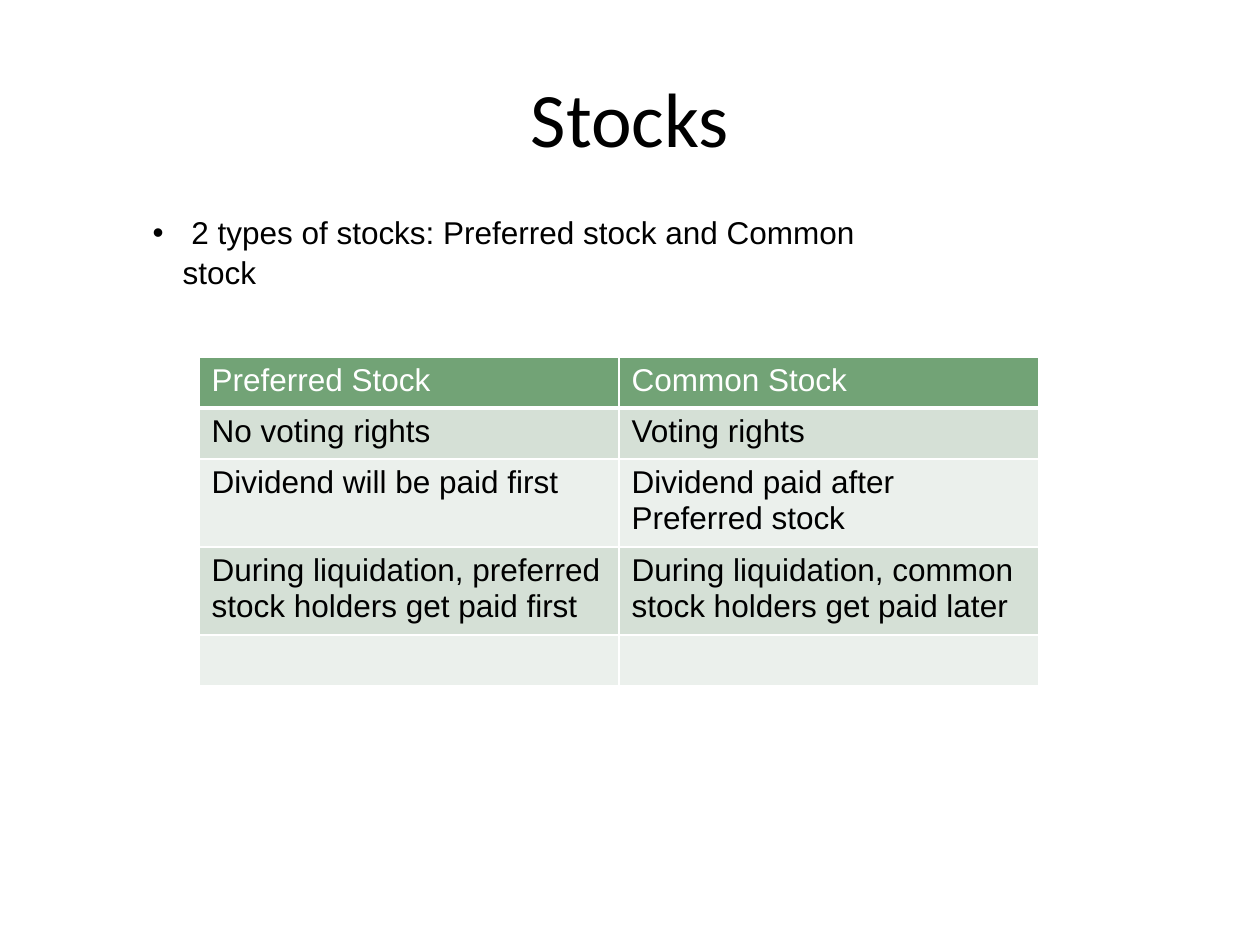
"""Build the slide that compares preferred and common stock."""
from dataclasses import dataclass

import lxml.etree
import pptx
import pptx.dml.color
import pptx.enum.text
import pptx.oxml.ns
import pptx.util


@dataclass(frozen=True)
class Theme:
    ink: str = "000000"
    paper: str = "FFFFFF"
    header: str = "72A376"
    bands: tuple[str, str] = ("D5E0D6", "EBF0EC")
    title_font: str = "Calibri"
    text_font: str = "Arial"
    title_size: int = 44
    text_size: int = 18
    rule: int = 1
    header_rule: int = 3


@dataclass(frozen=True)
class Area:
    left: int
    top: int
    width: int
    height: int


@dataclass(frozen=True)
class Row:
    height: int
    preferred: str = ""
    common: str = ""


THEME = Theme()
PIXELS_PER_INCH = 126
PAGE = Area(0, 0, 1260, 945)
TITLE = Area(63, 38, 1134, 158)
BODY = Area(140, 205, 728, 90)
TABLE = Area(199, 357, 840, 329)
HANG = 30
ROWS = (
    Row(51, "Preferred Stock", "Common Stock"),
    Row(51, "No voting rights", "Voting rights"),
    Row(88, "Dividend will be paid first", "Dividend paid after Preferred stock"),
    Row(88, "During liquidation, preferred stock holders get paid first",
        "During liquidation, common stock holders get paid later"),
    Row(51),
)


def px(length: int) -> pptx.util.Emu:
    return pptx.util.Emu(round(length * 914400 / PIXELS_PER_INCH))


def rgb(value: str) -> pptx.dml.color.RGBColor:
    return pptx.dml.color.RGBColor.from_string(value)


def set_font(para, name: str, size: int, color: str) -> None:
    para.font.name = name
    para.font.size = pptx.util.Pt(size)
    para.font.bold = False
    para.font.color.rgb = rgb(color)


def fill_placeholder(box, area: Area, text: str, name: str, size: int):
    box.left, box.top = px(area.left), px(area.top)
    box.width, box.height = px(area.width), px(area.height)
    frame = box.text_frame
    frame.text = text
    frame.word_wrap = True
    frame.auto_size = pptx.enum.text.MSO_AUTO_SIZE.NONE
    para = frame.paragraphs[0]
    set_font(para, name, size, THEME.ink)
    return para


def set_borders(cell, widths: dict[str, int]) -> None:
    properties = cell._tc.get_or_add_tcPr()
    for side, width in widths.items():
        line = lxml.etree.SubElement(
            properties, pptx.oxml.ns.qn(f"a:ln{side}"), w=str(pptx.util.Pt(width)))
        solid = lxml.etree.SubElement(line, pptx.oxml.ns.qn("a:solidFill"))
        lxml.etree.SubElement(solid, pptx.oxml.ns.qn("a:srgbClr"), val=THEME.paper)


def fill_cell(cell, text: str, row_index: int) -> None:
    is_header = row_index == 0
    set_borders(cell, {
        "L": THEME.rule,
        "R": THEME.rule,
        "T": THEME.header_rule if row_index == 1 else THEME.rule,
        "B": THEME.header_rule if is_header else THEME.rule,
    })
    cell.fill.solid()
    cell.fill.fore_color.rgb = rgb(
        THEME.header if is_header else THEME.bands[(row_index - 1) % 2])
    cell.text = text
    set_font(cell.text_frame.paragraphs[0], THEME.text_font, THEME.text_size,
             THEME.paper if is_header else THEME.ink)


def add_comparison(page) -> None:
    table = page.shapes.add_table(
        len(ROWS), 2, px(TABLE.left), px(TABLE.top),
        px(TABLE.width), px(TABLE.height)).table
    for row_index, row in enumerate(ROWS):
        table.rows[row_index].height = px(row.height)
        for column_index, text in enumerate((row.preferred, row.common)):
            fill_cell(table.cell(row_index, column_index), text, row_index)


def main() -> None:
    deck = pptx.Presentation()
    deck.slide_width, deck.slide_height = px(PAGE.width), px(PAGE.height)
    page = deck.slides.add_slide(deck.slide_layouts[1])
    title = fill_placeholder(page.shapes.title, TITLE, "Stocks",
                             THEME.title_font, THEME.title_size)
    title.alignment = pptx.enum.text.PP_ALIGN.CENTER
    bullet = fill_placeholder(
        page.placeholders[1], BODY,
        " 2 types of stocks: Preferred stock and Common stock",
        THEME.text_font, THEME.text_size)
    bullet.space_before = pptx.util.Pt(0)
    bullet.line_spacing = 1.05
    properties = bullet._p.get_or_add_pPr()
    properties.set("marL", str(px(HANG)))
    properties.set("indent", str(-px(HANG)))
    add_comparison(page)
    deck.save("out.pptx")


if __name__ == "__main__":
    main()
